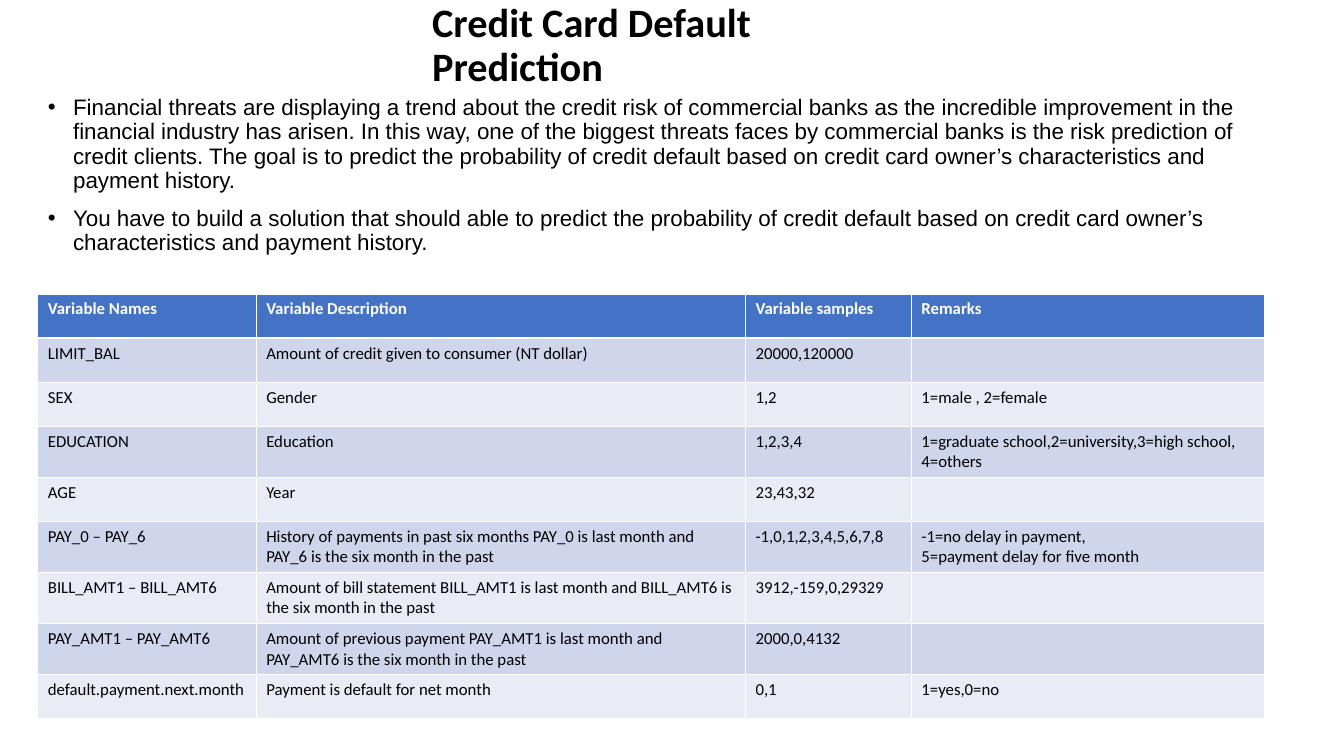
import pptx
import pptx.dml.color
import pptx.enum.text
import pptx.util
from lxml import etree

PX = 9525
SLIDE_SIZE = (1280, 720)
TITLE_BOX = (402, 27, 476, 34)
BODY_BOX = (36, 87, 1206, 166)
TABLE_ORIGIN = (36, 280)
COLUMN_WIDTHS = (208, 466, 158, 336)
ROW_HEIGHT = 42
BULLET_INDENT = 24

BLACK = pptx.dml.color.RGBColor(0x00, 0x00, 0x00)
WHITE = pptx.dml.color.RGBColor(0xFF, 0xFF, 0xFF)
HEADER_BLUE = pptx.dml.color.RGBColor(0x44, 0x72, 0xC4)
BAND_DARK = pptx.dml.color.RGBColor(0xCF, 0xD5, 0xEA)
BAND_LIGHT = pptx.dml.color.RGBColor(0xE9, 0xEB, 0xF5)

TITLE = "Credit Card Default Prediction"
BULLETS = (
    "Financial threats are displaying a trend about the credit risk of commercial banks "
    "as the incredible improvement in the financial industry has arisen. In this way, one "
    "of the biggest threats faces by commercial banks is the risk prediction of credit "
    "clients. The goal is to predict the probability of credit default based on credit "
    "card owner’s characteristics and payment history.",
    "You have to build a solution that should able to predict the probability of credit "
    "default based on credit card owner’s characteristics and payment history.",
)
VARIABLES = (
    ("Variable Names", "Variable Description", "Variable samples", "Remarks"),
    ("LIMIT_BAL", "Amount of credit given to consumer (NT dollar)", "20000,120000", ""),
    ("SEX", "Gender", "1,2", "1=male , 2=female"),
    ("EDUCATION", "Education", "1,2,3,4",
     "1=graduate school,2=university,3=high school, 4=others"),
    ("AGE", "Year", "23,43,32", ""),
    ("PAY_0 – PAY_6",
     "History of payments in past six months PAY_0 is last month and PAY_6 is the six "
     "month in the past",
     "-1,0,1,2,3,4,5,6,7,8", "-1=no delay in payment,\n5=payment delay for five month"),
    ("BILL_AMT1 – BILL_AMT6",
     "Amount of bill statement BILL_AMT1 is last month and BILL_AMT6 is the six month in "
     "the past",
     "3912,-159,0,29329", ""),
    ("PAY_AMT1 – PAY_AMT6",
     "Amount of previous payment PAY_AMT1 is last month and PAY_AMT6 is the six month in "
     "the past",
     "2000,0,4132", ""),
    ("default.payment.next.month", "Payment is default for net month", "0,1", "1=yes,0=no"),
)


def format_runs(text_frame, font_name, size, color, bold=False):
    for paragraph in text_frame.paragraphs:
        for run in paragraph.runs:
            run.font.name = font_name
            run.font.size = pptx.util.Pt(size)
            run.font.color.rgb = color
            run.font.bold = bold


def fill_placeholder(shape, box, text, anchor):
    """Move a placeholder to box and give it left-aligned, tightly spaced text."""
    shape.left, shape.top, shape.width, shape.height = (length * PX for length in box)
    text_frame = shape.text_frame
    text_frame.text = text
    text_frame.word_wrap = True
    text_frame.auto_size = pptx.enum.text.MSO_AUTO_SIZE.NONE
    text_frame.vertical_anchor = anchor
    for paragraph in text_frame.paragraphs:
        paragraph.alignment = pptx.enum.text.PP_ALIGN.LEFT
        paragraph.line_spacing = 0.9
    return text_frame


def add_title(slide, box):
    text_frame = fill_placeholder(
        slide.shapes.title, box, TITLE, pptx.enum.text.MSO_ANCHOR.MIDDLE)
    format_runs(text_frame, "Calibri", 28.8, BLACK, bold=True)


def add_bullets(slide, box):
    text_frame = fill_placeholder(
        slide.placeholders[1], box, "\n".join(BULLETS), pptx.enum.text.MSO_ANCHOR.TOP)
    format_runs(text_frame, "Arial", 16, BLACK)
    for paragraph in text_frame.paragraphs:
        paragraph.space_before = pptx.util.Pt(10)
        properties = paragraph._p.get_or_add_pPr()
        properties.set("marL", str(BULLET_INDENT * PX))
        properties.set("indent", str(-BULLET_INDENT * PX))
        bullet = etree.SubElement(properties, pptx.oxml.ns.qn("a:buChar"))
        bullet.set("char", "•")


def add_variable_table(slide, origin):
    left, top = origin
    row_count = len(VARIABLES)
    table = slide.shapes.add_table(
        row_count, len(COLUMN_WIDTHS), left * PX, top * PX,
        sum(COLUMN_WIDTHS) * PX, row_count * ROW_HEIGHT * PX).table
    for column, width in zip(table.columns, COLUMN_WIDTHS):
        column.width = width * PX
    for row_index, (row, texts) in enumerate(zip(table.rows, VARIABLES)):
        row.height = ROW_HEIGHT * PX
        is_header = row_index == 0
        band = BAND_DARK if row_index % 2 else BAND_LIGHT
        for cell, text in zip(row.cells, texts):
            cell.fill.solid()
            cell.fill.fore_color.rgb = HEADER_BLUE if is_header else band
            cell.text_frame.text = text
            format_runs(cell.text_frame, "Calibri", 12,
                        WHITE if is_header else BLACK, bold=is_header)


def main():
    presentation = pptx.Presentation()
    presentation.slide_width, presentation.slide_height = (
        length * PX for length in SLIDE_SIZE)
    slide = presentation.slides.add_slide(presentation.slide_layouts[1])
    add_title(slide, TITLE_BOX)
    add_bullets(slide, BODY_BOX)
    add_variable_table(slide, TABLE_ORIGIN)
    presentation.save("out.pptx")


if __name__ == "__main__":
    main()
